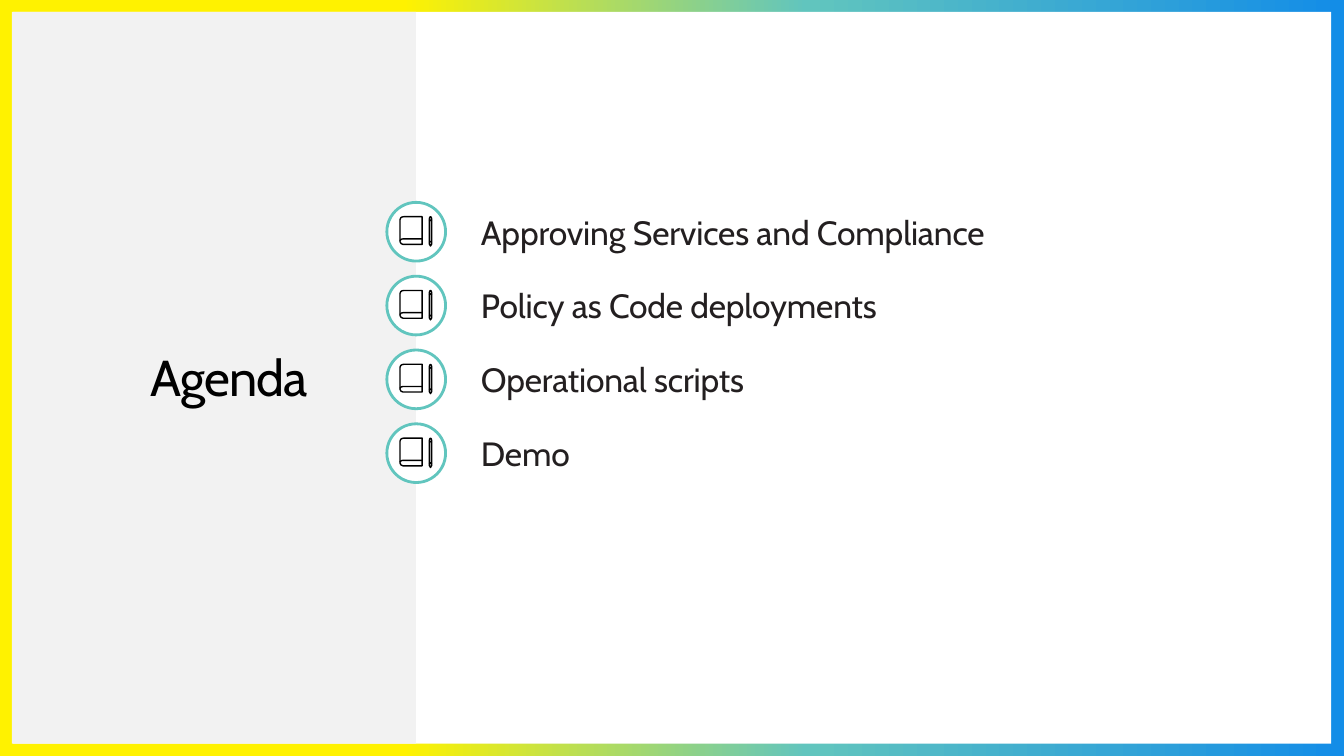
from copy import deepcopy

from pptx import Presentation
from pptx.dml.color import RGBColor
from pptx.enum.shapes import MSO_SHAPE
from pptx.enum.text import MSO_ANCHOR, MSO_AUTO_SIZE, PP_ALIGN
from pptx.oxml.ns import qn
from pptx.util import Cm, Pt

RECTANGLE, OVAL = MSO_SHAPE.RECTANGLE, MSO_SHAPE.OVAL
MIDDLE, NO_AUTOFIT = MSO_ANCHOR.MIDDLE, MSO_AUTO_SIZE.NONE
LEFT, CENTER = PP_ALIGN.LEFT, PP_ALIGN.CENTER

YELLOW = RGBColor(0xFF, 0xF2, 0x00)
TEAL = RGBColor(0x61, 0xC5, 0xBE)
BLUE = RGBColor(0x13, 0x8D, 0xE7)
WHITE = RGBColor(0xFF, 0xFF, 0xFF)
LIGHT_GRAY = RGBColor(0xF2, 0xF2, 0xF2)
BLACK = RGBColor(0x00, 0x00, 0x00)
CHARCOAL = RGBColor(0x23, 0x1F, 0x20)

AGENDA = [
    "Approving Services and Compliance",
    "Policy as Code deployments",
    "Operational scripts",
    "Demo",
]
FIRST_TOP, PITCH = 5.1, 1.86
CIRCLE_LEFT, CIRCLE_SIZE = 9.75, 1.48

# Icon strokes in hundredths of a centimetre: (points, closed)
ICON_STROKES = [
    ([(56, 0), (56, 70), (8, 70), (3, 68), (0, 63), (0, 56),
      (0, 8), (2, 3), (5, 1), (10, 0)], True),
    ([(56, 56), (8, 56), (3, 57), (0, 61)], False),
    ([(77, 74), (80, 69), (80, 6), (79, 2), (77, 0), (75, 2),
      (74, 6), (74, 69)], True),
    ([(80, 11), (77, 8), (74, 11)], False),
    ([(80, 65), (77, 62), (74, 65)], False),
]


def write_text(shape, text, size, colour, alignment=LEFT, side_inset=0.0, tracking=0):
    """Fill a shape with one centred-height line; tracking is in 1/100 pt."""
    frame = shape.text_frame
    frame.word_wrap = True
    frame.auto_size = NO_AUTOFIT
    frame.vertical_anchor = MIDDLE
    frame.margin_top = frame.margin_bottom = 0
    frame.margin_left = frame.margin_right = Cm(side_inset)
    paragraph = frame.paragraphs[0]
    paragraph.alignment = alignment
    run = paragraph.add_run()
    run.text = text
    run.font.name = "Cabin"
    run.font.size = Pt(size)
    run.font.color.rgb = colour
    run.font._element.set("spc", str(tracking))


def add_filled_shape(kind, left, top, width, height, fill):
    shape = slide.shapes.add_shape(kind, Cm(left), Cm(top), Cm(width), Cm(height))
    shape.shadow.inherit = False
    shape.fill.solid()
    shape.fill.fore_color.rgb = fill
    shape.line.fill.background()
    return shape


presentation = Presentation()
presentation.slide_width = Cm(33.87)
presentation.slide_height = Cm(19.05)
slide = presentation.slides.add_slide(presentation.slide_layouts[5])

# Gradient border behind the panels
background = slide.background.fill
background.gradient()
background.gradient_angle = 0
stop_list = slide.element.find(".//" + qn("a:gsLst"))
stop_list.append(deepcopy(stop_list[-1]))
gradient = [(0.3, YELLOW), (0.6, TEAL), (1.0, BLUE)]
for stop, (position, colour) in zip(background.gradient_stops, gradient):
    stop.position = position
    stop.color.rgb = colour

add_filled_shape(RECTANGLE, 0.33, 0.3, 33.22, 18.44, WHITE)
add_filled_shape(RECTANGLE, 0.3, 0.3, 10.18, 18.44, LIGHT_GRAY)

# Title, moved in front of the panels
title = slide.shapes.title
title.left, title.top, title.width, title.height = Cm(1.07), Cm(7.9), Cm(9.42), Cm(3.18)
write_text(title, "Agenda", 36, BLACK, alignment=CENTER, side_inset=0.25, tracking=-70)
title.element.getparent().append(title.element)

for index, topic in enumerate(AGENDA):
    top = FIRST_TOP + index * PITCH
    circle = add_filled_shape(OVAL, CIRCLE_LEFT, top, CIRCLE_SIZE, CIRCLE_SIZE, WHITE)
    circle.line.color.rgb = TEAL
    circle.line.width = Pt(2)

    builder = slide.shapes.build_freeform(*ICON_STROKES[0][0][0], scale=Cm(0.01))
    for points, closed in ICON_STROKES:
        builder.move_to(*points[0])
        builder.add_line_segments(points[1:], close=closed)
    icon = builder.convert_to_shape(Cm(CIRCLE_LEFT + 0.33), Cm(top + 0.36))
    icon.shadow.inherit = False
    icon.fill.background()
    icon.line.color.rgb = BLACK
    icon.line.width = Pt(1)

    label = slide.shapes.add_textbox(Cm(12.12), Cm(top + 0.17), Cm(19.3), Cm(1.14))
    write_text(label, topic, 24, CHARCOAL, tracking=-10)

presentation.save("out.pptx")
